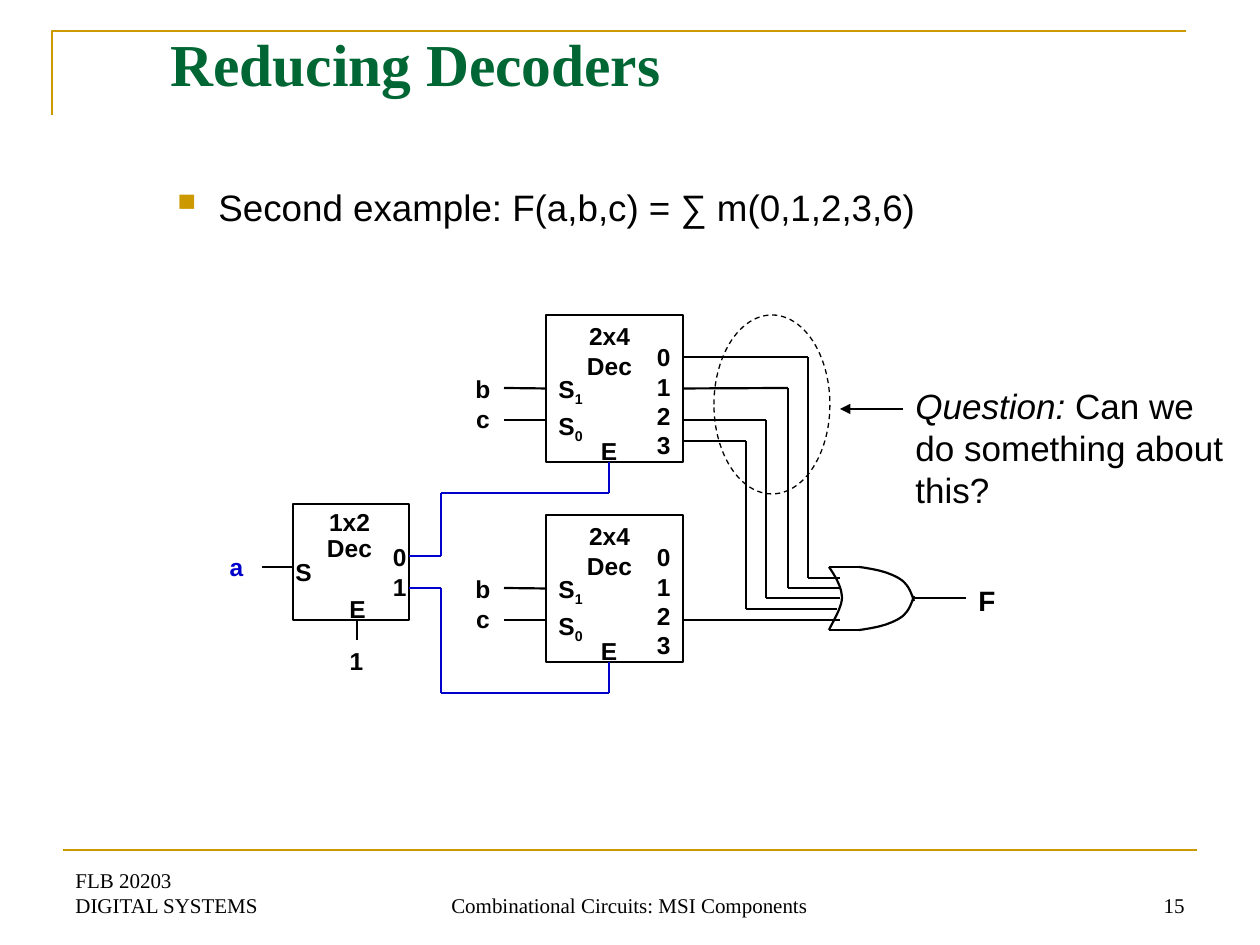
from itertools import pairwise

from lxml.etree import SubElement
from pptx import Presentation
from pptx.dml.color import RGBColor
from pptx.enum.dml import MSO_LINE
from pptx.enum.shapes import MSO_CONNECTOR, MSO_SHAPE
from pptx.enum.text import MSO_ANCHOR, MSO_AUTO_SIZE, PP_ALIGN
from pptx.oxml.ns import qn
from pptx.util import Inches, Pt

BLACK = RGBColor(0x00, 0x00, 0x00)
BLUE = RGBColor(0x00, 0x00, 0xCC)
GREEN = RGBColor(0x00, 0x66, 0x33)
GOLD = RGBColor(0xCC, 0x99, 0x00)
SANS, SERIF = "Arial", "Times New Roman"
LEFT, CENTER, RIGHT = PP_ALIGN.LEFT, PP_ALIGN.CENTER, PP_ALIGN.RIGHT
SCALE = Inches(1) / 126  # EMU in one px


def emu(*lengths):
    return [round(length * SCALE) for length in lengths]


def bezier(start, *segments, steps=12):
    """Points along joined cubic curves, each given as three control points."""
    points = [start]
    for first, second, end in segments:
        for step in range(1, steps + 1):
            t = step / steps
            weights = ((1 - t) ** 3, 3 * t * (1 - t) ** 2, 3 * t * t * (1 - t), t ** 3)
            corners = (start, first, second, end)
            points.append(tuple(sum(w * corner[axis] for w, corner in zip(weights, corners))
                                for axis in (0, 1)))
        start = end
    return points


class Sketch:
    """Holds the drawing style and the current slide."""

    def __init__(self, page):
        self.page = page
        self.shapes = page.shapes

    def format(self, paragraph, size, color=BLACK, face=SANS, bold=False, align=LEFT):
        paragraph.alignment = align
        for span in paragraph.runs:
            font = span.font
            font.name, font.size, font.bold = face, Pt(size), bold
            font.color.rgb = color

    def title(self, text, left, top, width, height):
        box = self.shapes.title
        box.left, box.top, box.width, box.height = emu(left, top, width, height)
        frame = box.text_frame
        frame.text = text
        frame.auto_size = MSO_AUTO_SIZE.NONE
        frame.vertical_anchor = MSO_ANCHOR.TOP
        self.format(frame.paragraphs[0], 34, GREEN, SERIF, True)

    def text(self, text, left, top, width, height, size=14, anchor=MSO_ANCHOR.TOP,
             spacing=None, **style):
        box = self.shapes.add_textbox(*emu(left, top, width, height))
        frame = box.text_frame
        frame.word_wrap = True
        frame.vertical_anchor = anchor
        frame.text = text
        for paragraph in frame.paragraphs:
            if spacing:
                paragraph.line_spacing = spacing
            self.format(paragraph, size, **style)
        return frame

    def label(self, text, left, top, width, height, align=CENTER, **style):
        return self.text(text, left, top, width, height, bold=True, align=align, **style)

    def bullet(self, text, left, top, width, height, size):
        paragraph = self.text(text, left, top, width, height, size).paragraphs[0]
        properties = paragraph._p.get_or_add_pPr()
        indent = emu(48)[0]
        properties.set("marL", str(indent))
        properties.set("indent", str(-indent))
        color = SubElement(properties, qn("a:buClr"))
        SubElement(color, qn("a:srgbClr")).set("val", str(GOLD))
        SubElement(properties, qn("a:buSzPct")).set("val", "120000")
        SubElement(properties, qn("a:buChar")).set("char", "▪")

    def outline(self, kind, left, top, width, height, weight=1.5):
        shape = self.shapes.add_shape(kind, *emu(left, top, width, height))
        shape.shadow.inherit = False
        shape.fill.background()
        shape.line.color.rgb = BLACK
        shape.line.width = Pt(weight)
        return shape

    def line(self, start, end, color=BLACK, weight=1.25, arrow=False):
        connector = self.shapes.add_connector(MSO_CONNECTOR.STRAIGHT, *emu(*start, *end))
        connector.line.color.rgb = color
        connector.line.width = Pt(weight)
        properties = connector._element.spPr
        if arrow:
            SubElement(properties.find(qn("a:ln")), qn("a:tailEnd")).set("type", "triangle")
        SubElement(properties, qn("a:effectLst"))
        return connector

    def wire(self, *points, color=BLACK):
        return [self.line(start, end, color) for start, end in pairwise(points)]

    def path_through(self, points, color=BLACK, weight=1.25):
        fine = [(x * 10, y * 10) for x, y in points]  # tenths of a px keep curves smooth
        builder = self.shapes.build_freeform(*fine[0], scale=SCALE / 10)
        builder.add_line_segments(fine[1:], close=False)
        shape = builder.convert_to_shape()
        shape.shadow.inherit = False
        shape.fill.background()
        shape.line.color.rgb = color
        shape.line.width = Pt(weight)

    def decoder_2x4(self, top):
        block = self.outline(MSO_SHAPE.RECTANGLE, 546, top, 137, 147)
        self.label("2x4\nDec", 557, top, 105, 72)
        select = self.label("S1\nS0", 546, top + 53, 58, 83, align=LEFT)
        for paragraph in select.paragraphs:
            digit = paragraph.add_run()
            letter = paragraph.runs[0]
            letter.text, digit.text = letter.text[0], letter.text[1]
            self.format(paragraph, 14, bold=True)
            digit._r.get_or_add_rPr().set("baseline", "-25000")
        select.paragraphs[1].space_before = Pt(1.8)
        self.label("0\n1\n2\n3", 630, top + 21, 53, 131, align=RIGHT)
        self.label("E", 588, top + 315 - 200, 42, 43)
        self.label("b\nc", 462, top + 53, 42, 72)
        self.line((504, top + 73), (546, top + 73)).end_connect(block, 1)
        self.line((504, top + 105), (546, top + 105))
        return block


def main():
    deck = Presentation()
    deck.slide_width, deck.slide_height = Inches(10), Inches(7.5)
    sketch = Sketch(deck.slides.add_slide(deck.slide_layouts[5]))

    # Frame and footer
    sketch.path_through([(52, 115), (52, 31), (1186, 31)], GOLD, 1.5)
    sketch.line((63, 850), (1197, 850), GOLD, 1.5)
    for text, left, width, align in (
            ("FLB 20203\vDIGITAL SYSTEMS", 63, 294, LEFT),
            ("Combinational Circuits: MSI Components", 430, 399, CENTER),
            ("15", 903, 294, RIGHT)):
        sketch.text(text, left, 861, width, 63, 12, MSO_ANCHOR.BOTTOM, face=SERIF, align=align)

    # Title and statement
    sketch.title("Reducing Decoders", 158, 21, 1071, 158)
    sketch.bullet("Second example: F(a,b,c) = ∑ m(0,1,2,3,6)", 158, 179, 1061, 73, 21)

    # OR gate
    middle = 598.5
    upper = bezier((859, 567), ((876, 569), (891, 573), (900, 579)),
                   ((908, 584), (911, 592), (914, 601)))
    sketch.path_through(bezier((829, 567), ((836, 577), (842, 588), (842, 598)),
                               ((842, 608), (831, 625), (829, 630))))
    sketch.path_through(upper)
    sketch.path_through([(x, 2 * middle - y) for x, y in upper])
    for edge in (567, 630):
        sketch.line((829, edge), (859, edge))
    sketch.line((914, 598), (966, 598))
    sketch.label("F", 966, 577, 42, 47, size=16, align=LEFT)

    # First-level 1x2 decoder
    sketch.outline(MSO_SHAPE.RECTANGLE, 293, 504, 116, 116)
    sketch.label("1x2\nDec", 297, 504, 105, 66, spacing=0.9)
    sketch.label("S", 283, 551, 59, 43, align=LEFT)
    sketch.label("0\n1", 366, 536, 53, 72, align=RIGHT)
    sketch.label("E", 335, 588, 45, 43)
    sketch.label("a", 210, 546, 53, 43, color=BLUE)
    sketch.label("1", 325, 640, 63, 43)
    sketch.line((262, 567), (293, 567))
    sketch.line((357, 620), (357, 640), weight=0.75)

    # Second-level decoders and their enable wires
    upper_block = sketch.decoder_2x4(315)
    sketch.decoder_2x4(515)
    for start, bottom in ((556, 462), (588, 662)):
        sketch.wire((409, start), (441, start), (441, bottom + 31), (609, bottom + 31),
                    (609, bottom), color=BLUE)

    # Minterm wires into the gate
    for output, bend, entry, end in ((357, 808, 578, 840), (388, 788, 588, 840),
                                     (420, 766, 598, 840), (441, 746, 609, 837)):
        first = sketch.wire((683, output), (bend, output), (bend, entry), (end, entry))[0]
        if output == 388:
            first.begin_connect(upper_block, 3)
    sketch.line((683, 620), (840, 620))

    # Question about the four upper outputs
    ring = sketch.outline(MSO_SHAPE.OVAL, 714, 315, 116, 179, 0.75)
    ring.line.dash_style = MSO_LINE.DASH
    sketch.line((903, 409), (840, 409), weight=0.75, arrow=True)
    question = sketch.text("Question:", 903, 378, 336, 139, 20).paragraphs[0]
    question.add_run().text = " Can we do something about this?"
    sketch.format(question, 20)
    question.runs[0].font.italic = True

    deck.save("out.pptx")


if __name__ == "__main__":
    main()
